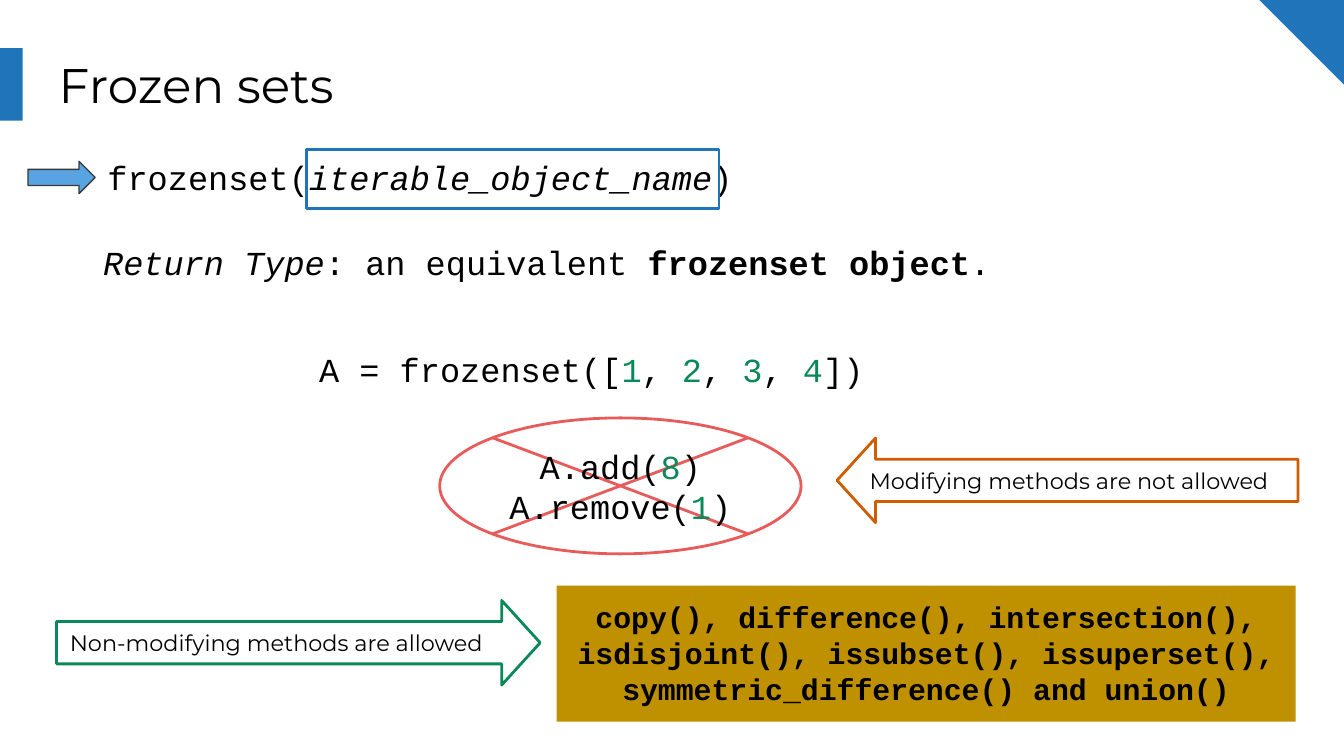
from dataclasses import dataclass
from typing import NamedTuple, Optional

from pptx import Presentation
from pptx.dml.color import RGBColor
from pptx.enum.shapes import MSO_SHAPE as Shape
from pptx.enum.text import MSO_ANCHOR as Anchor, PP_ALIGN as Align
from pptx.util import Cm, Pt


@dataclass(frozen=True)
class Theme:
    ink: str = "000000"
    blue: str = "2074B9"
    sky: str = "58A4E2"
    outline: str = "3A3A3A"
    gold: str = "BF9000"
    red: str = "E85B5B"
    orange: str = "CE5C00"
    green: str = "09885A"
    sans: str = "Montserrat"
    mono: str = "Courier New"
    title: int = 26
    code: int = 18
    methods: int = 16
    label: int = 12
    thin: float = 0.75
    thick: float = 1.5
    inset: float = 0.25


T = Theme()


class Box(NamedTuple):
    left: float
    top: float
    width: float
    height: float


class Run(NamedTuple):
    text: str
    color: str = T.ink
    bold: bool = False
    italic: bool = False


Line = list[Run]


@dataclass(frozen=True)
class Callout:
    kind: Shape
    box: Box
    color: str
    text: str


CALLOUTS = [
    Callout(Shape.LEFT_ARROW, Box(15.82, 8.28, 8.71, 1.6), T.orange,
            "Modifying methods are not allowed"),
    Callout(Shape.RIGHT_ARROW, Box(1.07, 11.35, 9.14, 1.6), T.green,
            "Non-modifying methods are allowed"),
]


def number(value: int) -> Run:
    return Run(str(value), T.green)


def call(name: str, value: int) -> Line:
    return [Run(f"A.{name}("), number(value), Run(")")]


def write(sp, lines: list[Line], *, size: int = T.code, font: str = T.mono,
          align: Align = Align.LEFT, anchor: Anchor = Anchor.TOP) -> None:
    tf = sp.text_frame
    tf.word_wrap = True
    tf.vertical_anchor = anchor
    tf.margin_left = tf.margin_right = Cm(T.inset)
    tf.margin_top = tf.margin_bottom = Cm(T.inset)
    for i, line in enumerate(lines):
        p = tf.add_paragraph() if i else tf.paragraphs[0]
        p.alignment = align
        for run in line:
            r = p.add_run()
            r.text = run.text
            r.font.name = font
            r.font.size = Pt(size)
            r.font.bold = run.bold
            r.font.italic = run.italic
            r.font.color.rgb = RGBColor.from_string(run.color)


def add_text(s, box: Box, *lines: Line, **fmt) -> None:
    write(s.shapes.add_textbox(*map(Cm, box)), list(lines), **fmt)


def add_shape(s, kind: Shape, box: Box, fill: Optional[str] = None,
              line: Optional[str] = None, weight: float = T.thick):
    sp = s.shapes.add_shape(kind, *map(Cm, box))
    sp.shadow.inherit = False
    if fill:
        sp.fill.solid()
        sp.fill.fore_color.rgb = RGBColor.from_string(fill)
    else:
        sp.fill.background()
    if line:
        sp.line.color.rgb = RGBColor.from_string(line)
        sp.line.width = Pt(weight)
    else:
        sp.line.fill.background()
    return sp


def add_callout(s, callout: Callout) -> None:
    sp = add_shape(s, callout.kind, callout.box, line=callout.color)
    sp.adjustments[0] = 0.5
    sp.adjustments[1] = 0.455
    write(sp, [[Run(callout.text)]], size=T.label, font=T.sans, anchor=Anchor.MIDDLE)


def main() -> None:
    prs = Presentation()
    prs.slide_width, prs.slide_height = Cm(25.4), Cm(14.29)
    s = prs.slides.add_slide(prs.slide_layouts[6])

    add_shape(s, Shape.RECTANGLE, Box(0, 0.91, 0.43, 1.37), fill=T.blue)
    corner = add_shape(s, Shape.RIGHT_TRIANGLE, Box(23.8, 0, 1.6, 1.6), fill=T.blue)
    corner.rotation = 180
    add_text(s, Box(0.86, 0.79, 23.67, 1.6), [Run("Frozen sets")],
             size=T.title, font=T.sans, anchor=Anchor.MIDDLE)

    add_text(s, Box(1.7, 4.32, 17.65, 1.27),
             [Run("Return Type", italic=True), Run(": an equivalent "),
              Run("frozenset object", bold=True), Run(".")])

    methods = add_shape(s, Shape.RECTANGLE, Box(10.52, 11.07, 13.97, 2.57), fill=T.gold)
    write(methods, [[Run("copy(), difference(), intersection(), isdisjoint(), issubset(), "
                         "issuperset(), symmetric_difference() and union()", bold=True)]],
          size=T.methods, align=Align.CENTER)

    add_text(s, Box(1.78, 2.72, 18.69, 1.27),
             [Run("frozenset("), Run("iterable_object_name", italic=True), Run(")")])

    example = [Run("A = frozenset([")]
    for value in range(1, 5):
        example += [number(value), Run(", " if value < 4 else "])")]
    add_text(s, Box(4.7, 6.35, 12.95, 1.27), example, align=Align.CENTER)

    crossed = add_shape(s, Shape.FLOWCHART_SUMMING_JUNCTION,
                        Box(8.31, 7.9, 6.83, 2.57), line=T.red)
    write(crossed, [call("add", 8), call("remove", 1)],
          align=Align.CENTER, anchor=Anchor.MIDDLE)

    for callout in CALLOUTS:
        add_callout(s, callout)

    add_shape(s, Shape.RECTANGLE, Box(5.79, 2.82, 7.8, 1.12), line=T.blue)
    add_shape(s, Shape.RIGHT_ARROW, Box(0.53, 3.05, 1.27, 0.61),
              fill=T.sky, line=T.outline, weight=T.thin)

    prs.save("out.pptx")


if __name__ == "__main__":
    main()
